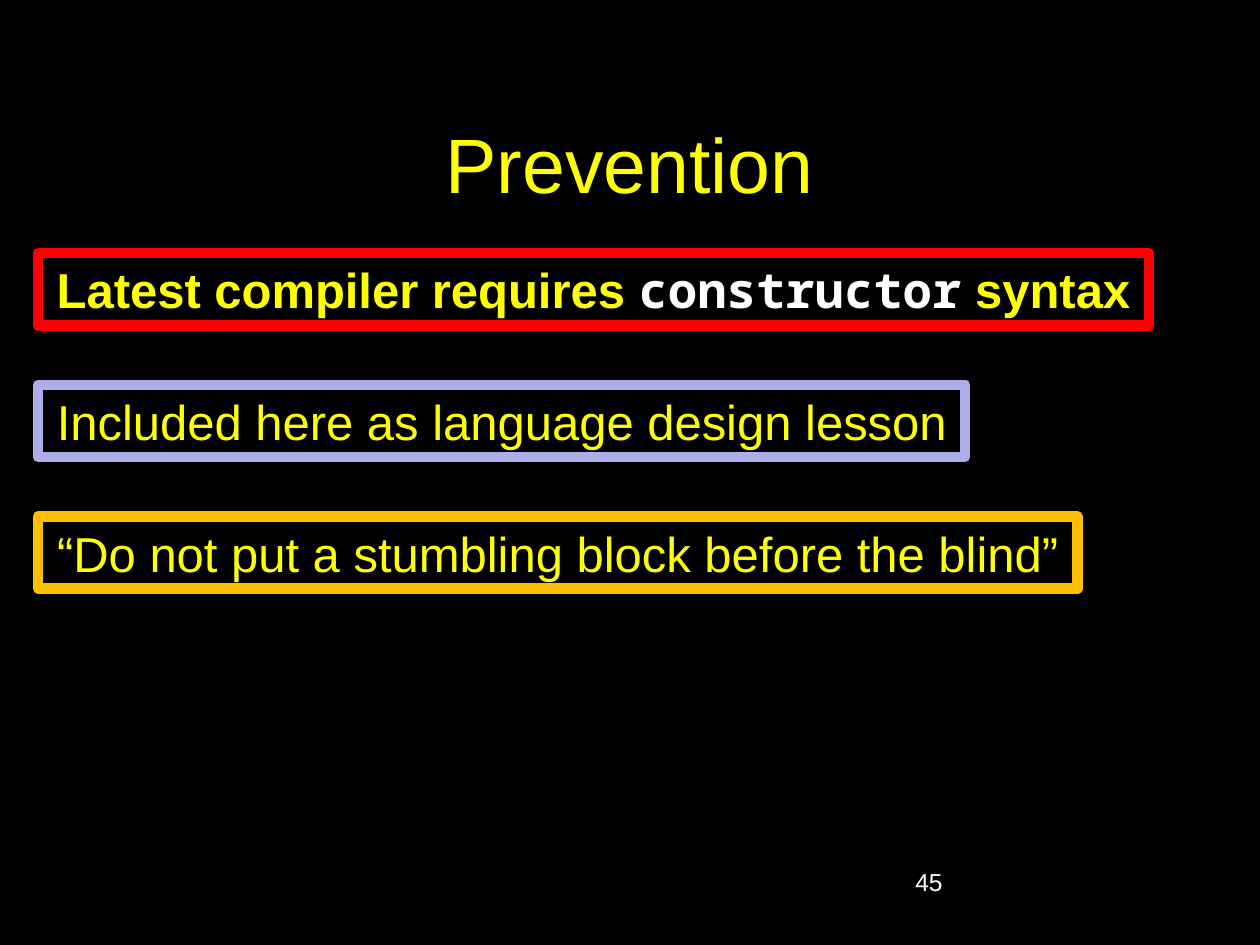
from pptx import Presentation
from pptx.dml.color import RGBColor
from pptx.enum.shapes import MSO_SHAPE
from pptx.enum.text import MSO_ANCHOR, MSO_AUTO_SIZE, PP_ALIGN
from pptx.util import Pt

RECT = MSO_SHAPE.RECTANGLE
TOP, MIDDLE = MSO_ANCHOR.TOP, MSO_ANCHOR.MIDDLE
LEFT, CENTER = PP_ALIGN.LEFT, PP_ALIGN.CENTER
GROW = MSO_AUTO_SIZE.SHAPE_TO_FIT_TEXT

BLACK, WHITE, YELLOW = "000000", "FFFFFF", "FFFF00"
RED, LILAC, AMBER = "FF0000", "ADADEB", "FFC000"
SANS, MONO = "Arial", "Noto Sans Mono"


def color(code):
    """Turn a hex string into a colour."""
    return RGBColor.from_string(code)


class Deck:
    """Holds the style and the current slide."""

    def __init__(self, width, height):
        self.prs = Presentation()
        self.prs.slide_width, self.prs.slide_height = Pt(width), Pt(height)
        self.slide = self.prs.slides.add_slide(self.prs.slide_layouts[6])
        back = self.slide.background.fill
        back.solid()
        back.fore_color.rgb = color(BLACK)

    def style(self, run, size, ink=YELLOW, face=SANS, bold=False):
        """Format one run."""
        font = run.font
        font.name, font.size, font.bold = face, Pt(size), bold
        font.color.rgb = color(ink)

    def label(self, text, place, size, ink, align=LEFT, anchor=TOP):
        """Add a plain text box."""
        frame = self.slide.shapes.add_textbox(*map(Pt, place)).text_frame
        frame.word_wrap = True
        frame.vertical_anchor = anchor
        frame.text = text
        para = frame.paragraphs[0]
        para.alignment = align
        self.style(para.runs[0], size, ink)

    def banner(self, parts, place, edge, bold=False):
        """Add a framed line of text made of (text, ink, face) parts."""
        box = self.slide.shapes.add_shape(RECT, *map(Pt, place))
        box.shadow.inherit = False
        box.fill.solid()
        box.fill.fore_color.rgb = color(BLACK)
        box.line.color.rgb = color(edge)
        box.line.width = Pt(6)
        frame = box.text_frame
        frame.word_wrap = False
        frame.auto_size = GROW
        para = frame.paragraphs[0]
        para.alignment = CENTER
        for text, ink, face in parts:
            run = para.add_run()
            run.text = text
            self.style(run, 28, ink, face, bold)


def main():
    """Build the slide and save it."""
    deck = Deck(720, 540)
    deck.label("Prevention", (54, 48, 612, 90), 44, YELLOW, CENTER, MIDDLE)
    deck.label("45", (516, 492, 150, 36), 14, WHITE)
    syntax = [
        ("Latest compiler requires ", YELLOW, SANS),
        ("constructor", WHITE, MONO),
        (" syntax", YELLOW, SANS),
    ]
    lesson = [("Included here as language design lesson", YELLOW, SANS)]
    quote = [("“Do not put a stumbling block before the blind”", YELLOW, SANS)]
    rows = [
        (syntax, 635, RED, True),
        (lesson, 530, LILAC, False),
        (quote, 594, AMBER, False),
    ]
    for i, (parts, width, edge, bold) in enumerate(rows):
        place = (21.6, 144.7 + 75.2 * i, width, 41.2)
        deck.banner(parts, place, edge, bold)
    deck.prs.save("out.pptx")


if __name__ == "__main__":
    main()
